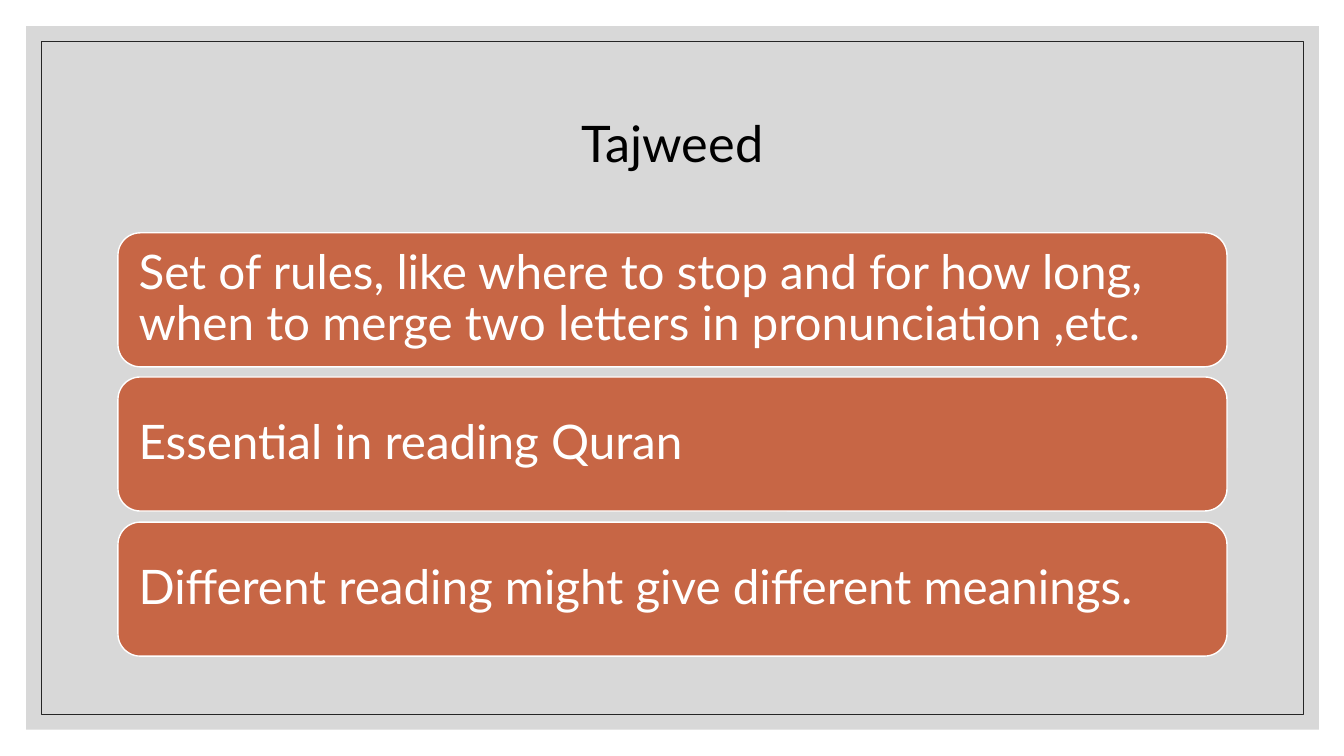
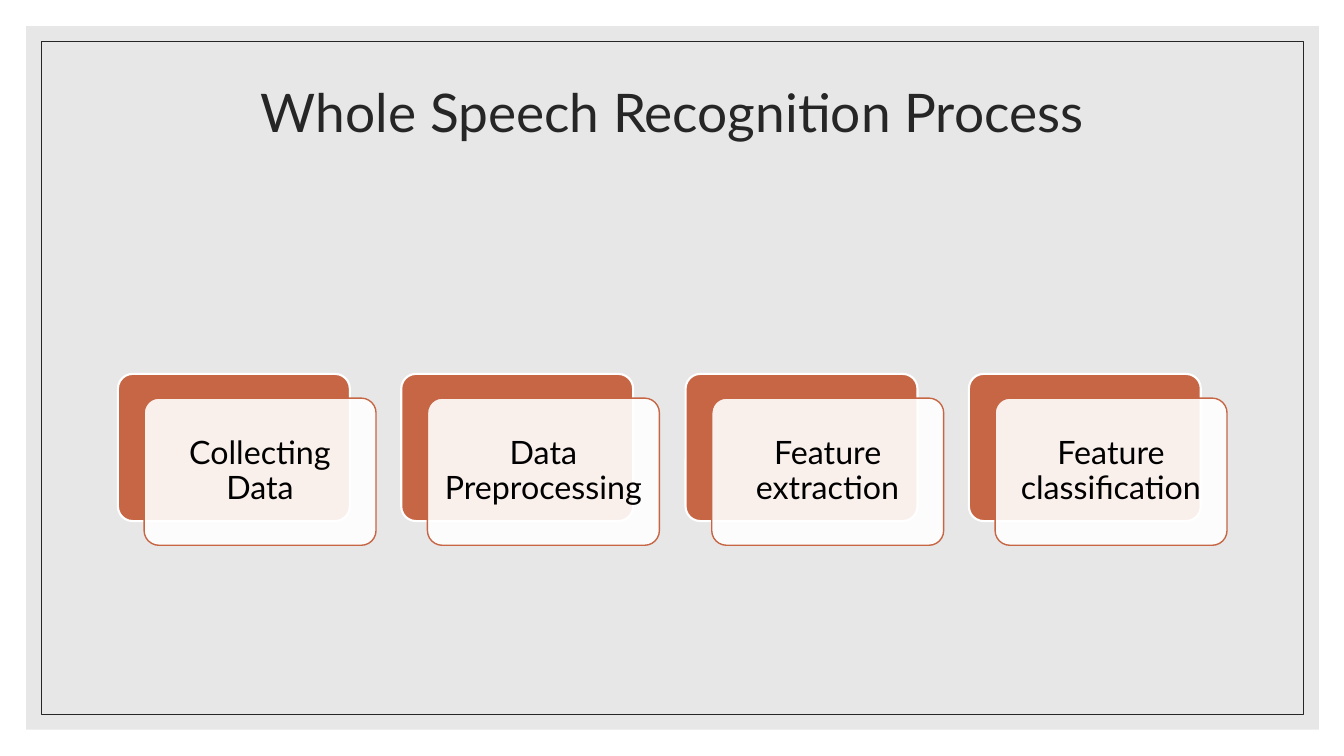
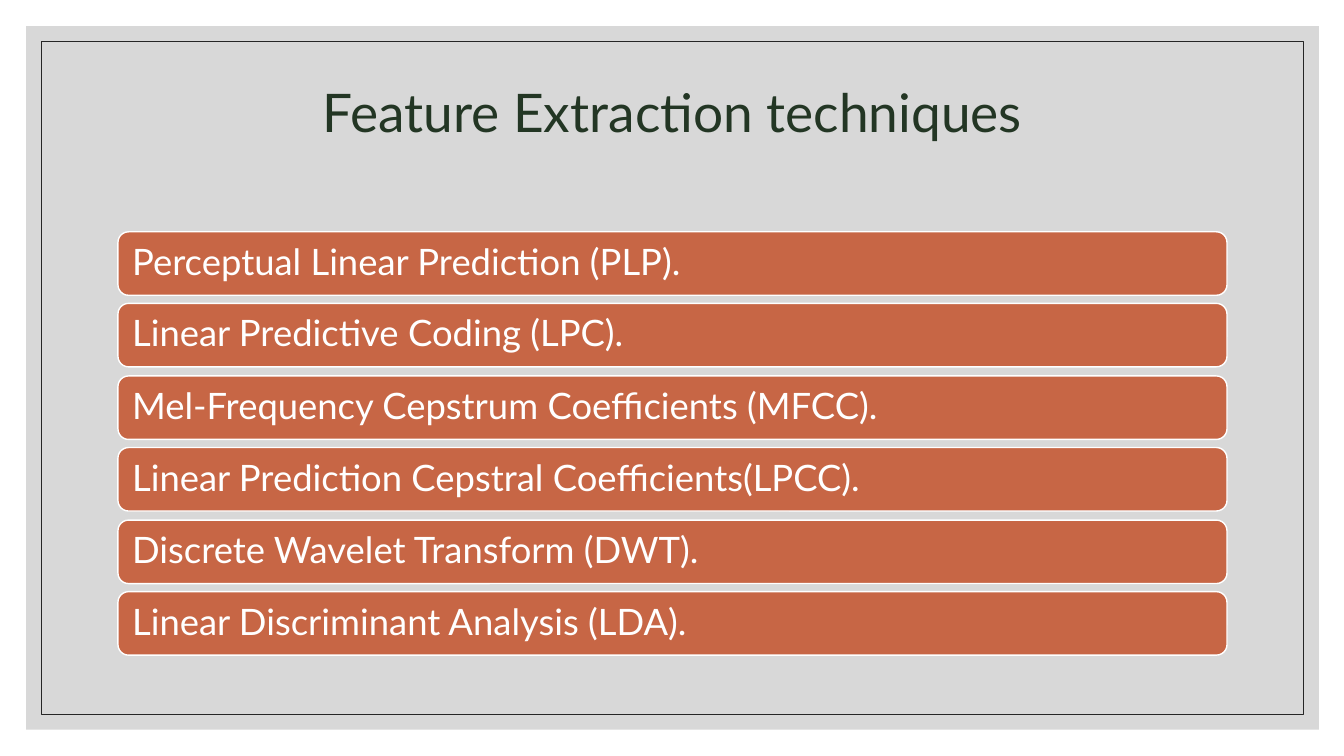
from pptx import Presentation
from pptx import util as u
from pptx.dml import color
from pptx.enum import shapes, text
from pptx.oxml import xmlchemy

SCALE = 9144
PAGE_WIDTH, PAGE_HEIGHT = 1333, 750
CONTENT_LEFT, CONTENT_WIDTH = 117, 1100
FONT = "Lato"
COLORS = {
    "white": "FFFFFF",
    "black": "000000",
    "ink": "262626",
    "forest": "233624",
    "accent": "C76645",
    "gray": "BFBFBF",
    "silver": "D8D8D8",
}
LEFT, CENTER = text.PP_ALIGN.LEFT, text.PP_ALIGN.CENTER


def px(length):
    return u.Emu(length * SCALE)


def rgb(name):
    return color.RGBColor.from_string(COLORS[name])


def apply(target, values):
    for name, value in values.items():
        setattr(target, name, value)


def spread(start, extent, size, count):
    step = (extent - size) / (count - 1)
    return [round(start + index * step) for index in range(count)]


def set_opacity(box, percent):
    fill_color = box.fill._xPr.find(".//" + xmlchemy.qn("a:srgbClr"))
    alpha = fill_color.makeelement(xmlchemy.qn("a:alpha"), {"val": str(percent * 1000)})
    fill_color.append(alpha)


def add_box(page, place, fill=None, line=None, width=1, corner=None, opacity=100):
    kind = shapes.MSO_SHAPE.RECTANGLE if corner is None else shapes.MSO_SHAPE.ROUNDED_RECTANGLE
    box = page.shapes.add_shape(kind, *map(px, place))
    box.shadow.inherit = False
    if corner is not None:
        box.adjustments[0] = corner
    if fill:
        box.fill.solid()
        box.fill.fore_color.rgb = rgb(fill)
        if opacity < 100:
            set_opacity(box, opacity)
    else:
        box.fill.background()
    if line:
        box.line.color.rgb = rgb(line)
        box.line.width = u.Pt(width)
    else:
        box.line.fill.background()
    return box


def write(box, words, size, ink, align, side, edge):
    frame = box.text_frame
    apply(frame, {
        "word_wrap": True,
        "vertical_anchor": text.MSO_ANCHOR.MIDDLE,
        "margin_left": px(side),
        "margin_right": px(side),
        "margin_top": px(edge),
        "margin_bottom": px(edge),
    })
    para = frame.paragraphs[0]
    apply(para, {"alignment": align, "line_spacing": 0.9})
    span = para.add_run()
    span.text = words
    apply(span.font, {"name": FONT, "size": u.Pt(size)})
    span.font.color.rgb = rgb(ink)


def add_page(deck, title, size, ink, panel="gray", title_top=39):
    page = deck.slides.add_slide(deck.slide_layouts[6])
    page.background.fill.solid()
    page.background.fill.fore_color.rgb = rgb("white")
    add_box(page, (26, 26, 1282, 698), fill=panel, opacity=60)
    add_box(page, (41, 41, 1252, 668), line="ink", width=0.75)
    place = (CONTENT_LEFT, title_top, CONTENT_WIDTH, 150)
    box = page.shapes.add_textbox(*map(px, place))
    write(box, title, size, ink, CENTER, side=10, edge=5)
    return page


def add_bars(page, items, top, height, size, margin):
    for item, bar_top in zip(items, spread(top, 420, height, len(items))):
        place = (CONTENT_LEFT, bar_top, CONTENT_WIDTH, height)
        bar = add_box(page, place, fill="accent", line="white", corner=0.167)
        write(bar, item, size, "white", LEFT, margin, margin)


def add_cards(page, items):
    top, width, height, shift_x, shift_y = 371, 230, 146, 26, 24
    lefts = spread(CONTENT_LEFT, CONTENT_WIDTH, width + shift_x, len(items))
    for item, left in zip(items, lefts):
        add_box(page, (left, top, width, height),
                fill="accent", line="white", width=1.5, corner=0.1)
        card = add_box(page, (left + shift_x, top + shift_y, width, height),
                       fill="white", line="accent", corner=0.1, opacity=90)
        write(card, item, 23, "black", CENTER, side=10, edge=10)


def main():
    deck = Presentation()
    apply(deck, {"slide_width": px(PAGE_WIDTH), "slide_height": px(PAGE_HEIGHT)})

    page = add_page(deck, "Tajweed", 36, "black", title_top=70)
    add_bars(page, [
        "Set of rules, like where to stop and for how long, "
        "when to merge two letters in pronunciation ,etc.",
        "Essential in reading Quran",
        "Different reading might give different meanings.",
    ], top=231, height=133, size=34, margin=14)

    page = add_page(deck, "Whole Speech Recognition Process", 38, "ink", panel="silver")
    add_cards(page, [
        "Collecting Data",
        "Data Preprocessing",
        "Feature extraction",
        "Feature classification",
    ])

    page = add_page(deck, "Feature Extraction techniques", 38, "forest")
    add_bars(page, [
        "Perceptual Linear Prediction (PLP).",
        "Linear Predictive Coding (LPC).",
        "Mel-Frequency Cepstrum Coefficients (MFCC).",
        "Linear Prediction Cepstral Coefficients(LPCC).",
        "Discrete Wavelet Transform (DWT).",
        "Linear Discriminant Analysis (LDA).",
    ], top=230, height=63, size=26, margin=11)

    deck.save("out.pptx")


if __name__ == "__main__":
    main()
